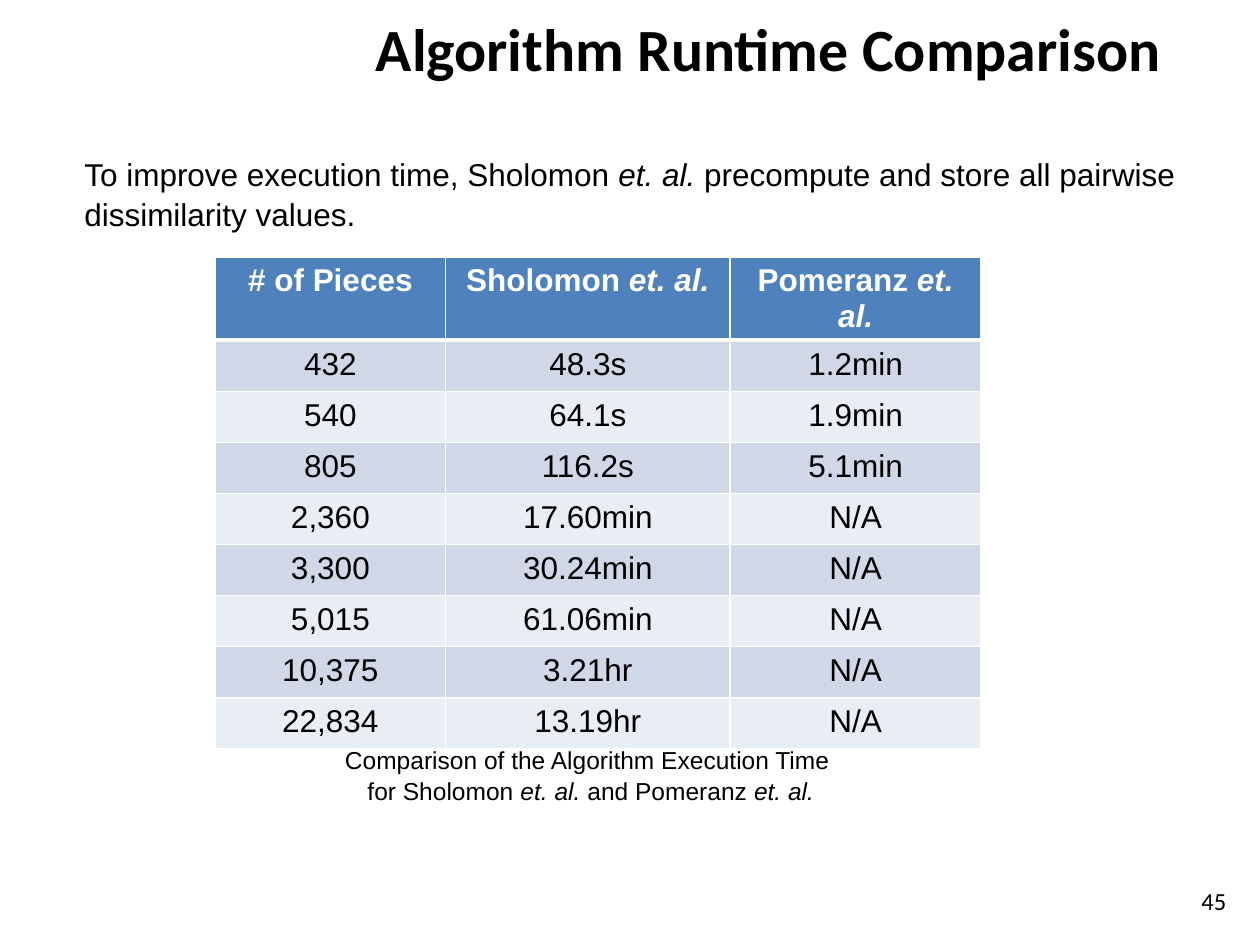
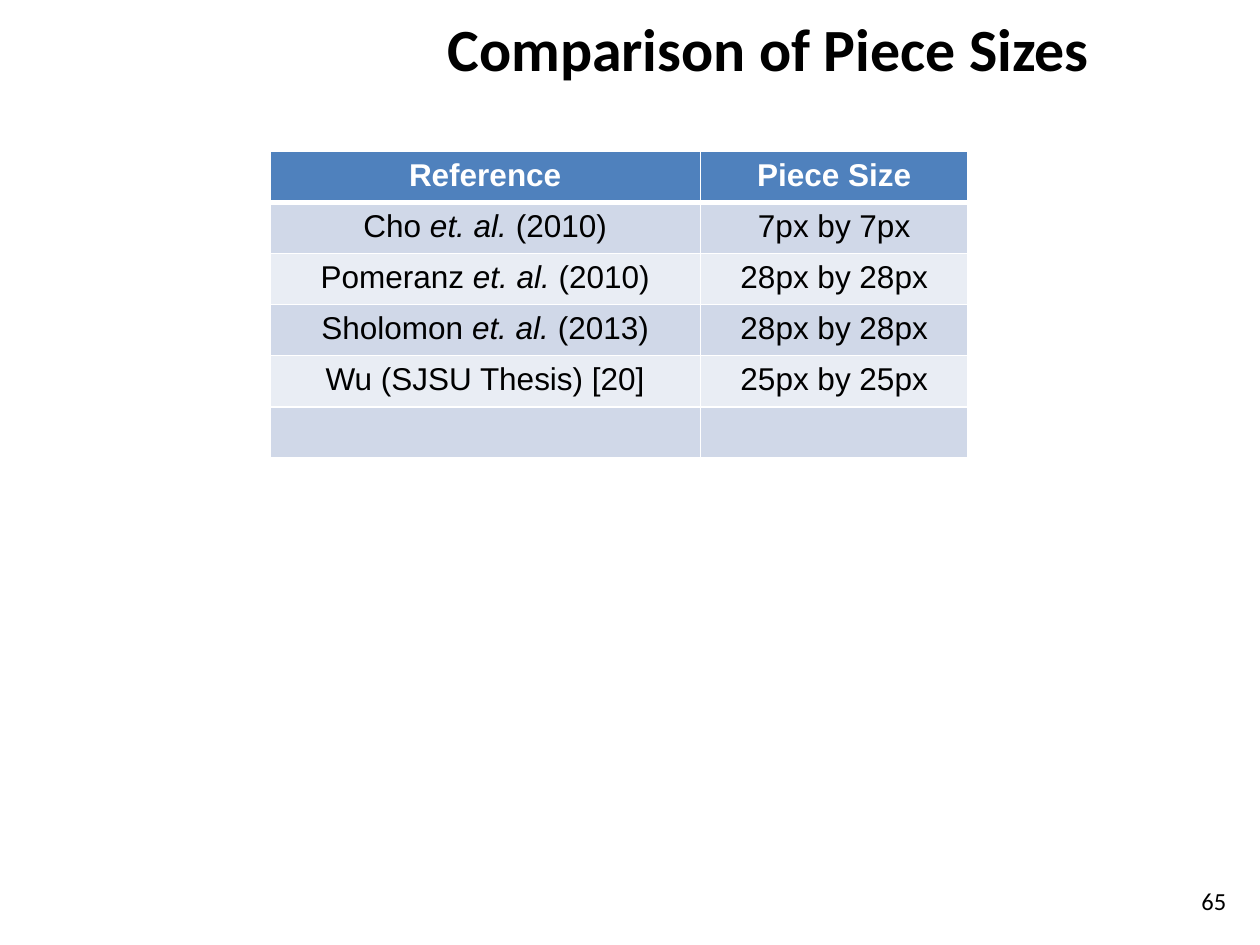
from lxml.etree import SubElement
from pptx import Presentation
from pptx.dml.color import RGBColor
from pptx.enum.text import MSO_ANCHOR, PP_ALIGN
from pptx.oxml.ns import qn
from pptx.util import Cm, Pt

# Content: *stars* mark italics
SLIDES = [
    dict(
        title="Algorithm Runtime Comparison",
        page="45",
        table=dict(
            left=4.34, top=5.18, cols=[4.64, 5.74, 5.06],
            rows=[
                ("# of Pieces", "Sholomon *et. al.*", "Pomeranz *et. al.*"),
                ("432", "48.3s", "1.2min"),
                ("540", "64.1s", "1.9min"),
                ("805", "116.2s", "5.1min"),
                ("2,360", "17.60min", "N/A"),
                ("3,300", "30.24min", "N/A"),
                ("5,015", "61.06min", "N/A"),
                ("10,375", "3.21hr", "N/A"),
                ("22,834", "13.19hr", "N/A"),
            ]),
        notes=[
            dict(text=["Comparison of the Algorithm Execution Time ",
                       "for Sholomon *et. al. *and Pomeranz *et. al.*"],
                 box=(4.85, 14.86, 14.12, 1.45), size=14, align="mid"),
            dict(text=["To improve execution time, Sholomon *et. al. *"
                       "precompute and store all pairwise dissimilarity values."],
                 box=(1.45, 2.95, 22.6, 1.8), size=18, align="left"),
        ]),
    dict(
        title="Comparison of Piece Sizes",
        page="65",
        table=dict(
            left=5.44, top=3.05, cols=[8.68, 5.39],
            rows=[
                ("Reference", "Piece Size"),
                ("Cho *et. al. *(2010)", "7px by 7px"),
                ("Pomeranz *et. al. *(2010)", "28px by 28px"),
                ("Sholomon *et. al. *(2013)", "28px by 28px"),
                ("Wu (SJSU Thesis) [20]", "25px by 25px"),
                ("", ""),
            ]),
        notes=[]),
]

# Shared style
HUES = dict(ink="000000", white="FFFFFF", head="4F81BD",
            odd="D0D8E8", even="E9EDF4")
SIDES = dict(left=PP_ALIGN.LEFT, mid=PP_ALIGN.CENTER, right=PP_ALIGN.RIGHT)
TITLE = (5.99, 0.2, 19, 1.52)
PAGE = (22.28, 17.65, 2.69, 1.02)
ROW = 1.03


def hue(name):
    return RGBColor.from_string(HUES[name])


def write(frame, lines, font="Arial", size=18, color="ink", bold=False,
          align="mid", space=None):
    """Fill a text frame, one paragraph for each line."""
    for n, line in enumerate(lines):
        para = frame.add_paragraph() if n else frame.paragraphs[0]
        para.alignment = SIDES[align]
        para.font.size = Pt(size)
        if space:
            para.line_spacing = space
        for i, part in enumerate(line.split("*")):
            if part:
                run = para.add_run()
                run.text = part
                face = run.font
                face.name, face.size = font, Pt(size)
                face.bold, face.italic = bold, i % 2 == 1
                face.color.rgb = hue(color)


def add_box(slide, box, lines, anchor=MSO_ANCHOR.TOP, **style):
    frame = slide.shapes.add_textbox(*map(Cm, box)).text_frame
    frame.word_wrap = True
    frame.vertical_anchor = anchor
    write(frame, lines, **style)


def add_title(slide, text):
    title = slide.shapes.title
    title.left, title.top, title.width, title.height = map(Cm, TITLE)
    title.text_frame.vertical_anchor = MSO_ANCHOR.MIDDLE
    write(title.text_frame, [text], font="Calibri", size=34.2, bold=True)


def paint(cell, fill, widths):
    """Set white edges, then the fill, of a cell."""
    props = cell._tc.get_or_add_tcPr()
    for side, width in widths.items():
        edge = SubElement(props, qn("a:ln" + side), w=str(Pt(width)))
        solid = SubElement(edge, qn("a:solidFill"))
        SubElement(solid, qn("a:srgbClr"), val=HUES["white"])
    cell.fill.solid()
    cell.fill.fore_color.rgb = hue(fill)


def add_grid(slide, left, top, cols, rows):
    size = map(Cm, (left, top, sum(cols), ROW * len(rows)))
    grid = slide.shapes.add_table(len(rows), len(cols), *size).table
    for col, width in zip(grid.columns, cols):
        col.width = Cm(width)
    for r, row in enumerate(rows):
        grid.rows[r].height = Cm(ROW)
        head = r == 0
        fill = "head" if head else "odd" if r % 2 else "even"
        widths = dict(L=1, R=1, T=3 if r == 1 else 1, B=3 if head else 1)
        for c, text in enumerate(row):
            cell = grid.cell(r, c)
            paint(cell, fill, widths)
            write(cell.text_frame, [text], bold=head,
                  color="white" if head else "ink")


def main():
    deck = Presentation()
    deck.slide_width, deck.slide_height = Cm(25.4), Cm(19.05)
    for item in SLIDES:
        slide = deck.slides.add_slide(deck.slide_layouts[5])
        add_title(slide, item["title"])
        add_grid(slide, **item["table"])
        for note in item["notes"]:
            add_box(slide, note["box"], note["text"], size=note["size"],
                    align=note["align"], space=1.06)
        add_box(slide, PAGE, [item["page"]], anchor=MSO_ANCHOR.MIDDLE,
                font="Calibri", size=14, align="right")
    deck.save("out.pptx")


if __name__ == "__main__":
    main()
